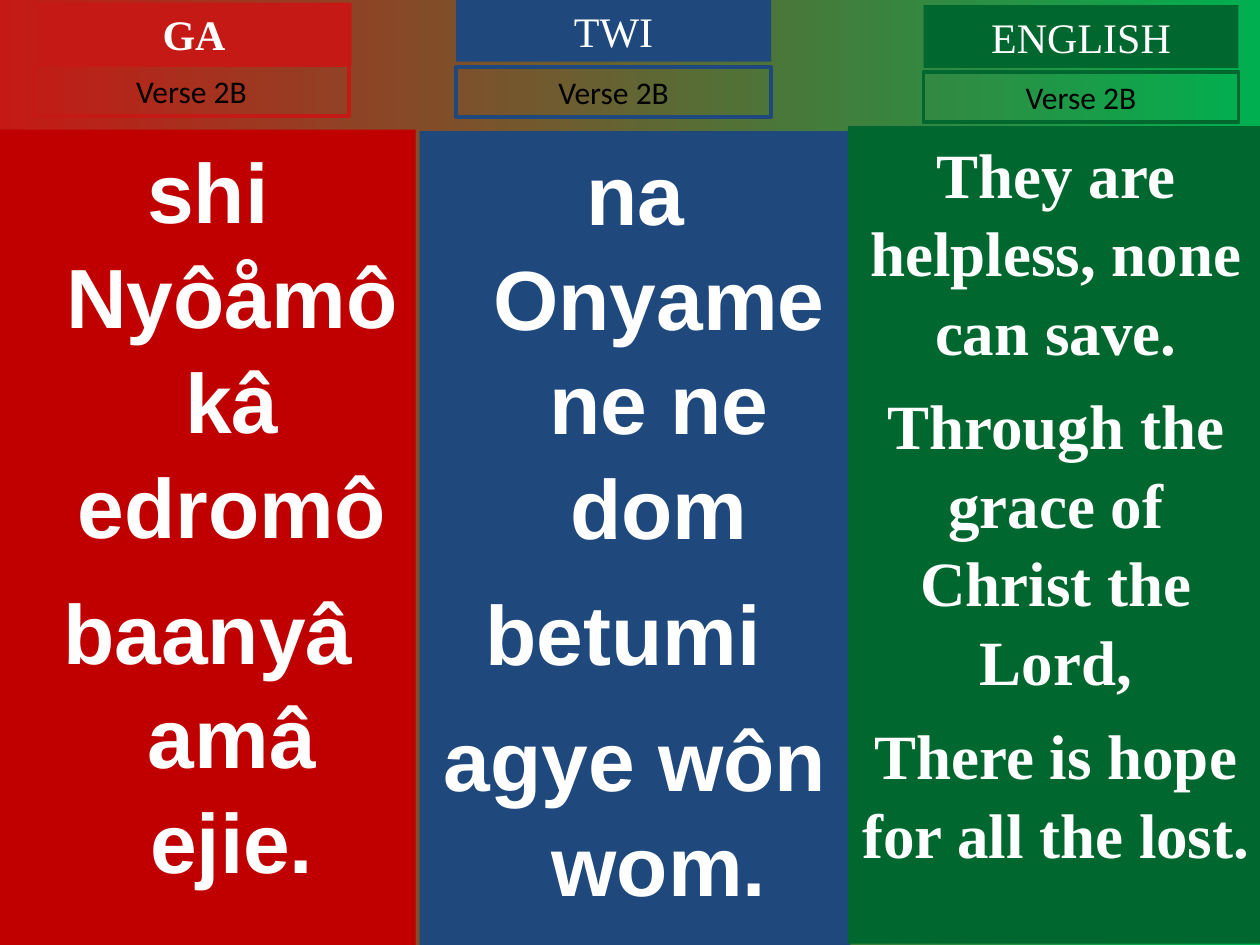
from dataclasses import dataclass
from typing import NamedTuple

from pptx import Presentation
from pptx.dml.color import RGBColor as RGB
from pptx.enum.shapes import MSO_SHAPE as Shape
from pptx.enum.text import MSO_ANCHOR as Anchor, MSO_AUTO_SIZE as AutoSize, PP_ALIGN as Align
from pptx.util import Inches, Pt

WIDTH, HEIGHT = 10, 7.5
TAG_WIDTH, HEAD_HEIGHT, VERSE_HEIGHT = 2.5, 0.5, 0.4


@dataclass(frozen=True)
class Theme:
    ga: str = "C51915"
    ga_panel: str = "C00000"
    twi: str = "1F497D"
    english: str = "00682F"
    bg_end: str = "00B050"
    light: str = "FFFFFF"
    dark: str = "000000"
    sans: str = "Arial"
    serif: str = "Times New Roman"
    label: str = "Calibri"
    head_size: int = 24
    verse_size: int = 18
    large: int = 48
    medium: int = 36
    border: float = 2.25
    leading: float = 1.04


T = Theme()


class Box(NamedTuple):
    left: float
    top: float
    width: float
    height: float


class Style(NamedTuple):
    font: str
    size: int
    color: str
    bold: bool = False
    before: int = 0
    hang: float = 0
    leading: float = 1


@dataclass(frozen=True)
class Language:
    name: str
    color: str
    panel_color: str
    panel: Box
    head: tuple[float, float]
    verse: tuple[float, float]
    style: Style
    lines: tuple[str, ...]
    bold_head: bool = False


LARGE = Style(T.sans, T.large, T.light, True, 12, 0.38, T.leading)
MEDIUM = Style(T.serif, T.medium, T.light, True, 9, 0, T.leading)
LANGUAGES = (
    Language("GA", T.ga, T.ga_panel, Box(0, 1.03, 3.3, HEIGHT - 1.03), (0.29, 0.02), (0.27, 0.52),
             LARGE, ("shi Nyôåmô kâ edromô", "baanyâ amâ ejie."), True),
    Language("TWI", T.twi, T.twi, Box(3.33, 1.04, 3.42, HEIGHT - 1.04), (3.62, -0.01), (3.62, 0.53),
             LARGE, ("na Onyame ne ne dom", "betumi ", "agye wôn wom.")),
    Language("ENGLISH", T.english, T.english, Box(6.73, 1, 3.3, 6.49), (7.33, 0.04), (7.33, 0.57),
             MEDIUM, ("They are helpless, none can save.",
                      "Through the grace of Christ the Lord,",
                      "There is hope for all the lost.")),
)


def set_all(target, values: dict) -> None:
    for name, value in values.items():
        setattr(target, name, value)


def write(sp, lines: tuple[str, ...], style: Style, anchor=Anchor.TOP) -> None:
    tf = sp.text_frame
    set_all(tf, {"word_wrap": True, "auto_size": AutoSize.NONE, "vertical_anchor": anchor,
                 "margin_left": Inches(0.1), "margin_right": Inches(0.1),
                 "margin_top": Inches(0.05), "margin_bottom": Inches(0.05)})
    for i, line in enumerate(lines):
        p = tf.add_paragraph() if i else tf.paragraphs[0]
        set_all(p, {"alignment": Align.CENTER, "line_spacing": style.leading,
                    "space_before": Pt(style.before if i else 0)})
        if style.hang:
            pPr = p._p.get_or_add_pPr()
            pPr.set("marL", str(Inches(style.hang)))
            pPr.set("indent", str(-Inches(style.hang)))
        r = p.add_run()
        r.text = line
        set_all(r.font, {"name": style.font, "size": Pt(style.size), "bold": style.bold})
        r.font.color.rgb = RGB.from_string(style.color)


def place(sp, box: Box) -> None:
    set_all(sp, {name: Inches(value) for name, value in box._asdict().items()})


def paint(sp, fill: str | None = None, line: str | None = None) -> None:
    if fill:
        sp.fill.solid()
        sp.fill.fore_color.rgb = RGB.from_string(fill)
    else:
        sp.fill.background()
    if line:
        sp.line.color.rgb = RGB.from_string(line)
        sp.line.width = Pt(T.border)
    else:
        sp.line.fill.background()


def add_box(s, box: Box, fill: str | None = None, line: str | None = None):
    sp = s.shapes.add_shape(Shape.RECTANGLE, *map(Inches, box))
    sp.shadow.inherit = False
    paint(sp, fill, line)
    return sp


def add_language(s, lang: Language, title=None) -> None:
    write(add_box(s, lang.panel, lang.panel_color), lang.lines, lang.style)
    box = Box(*lang.head, TAG_WIDTH, HEAD_HEIGHT)
    if title is None:
        head = add_box(s, box, lang.color)
    else:
        head = title
        place(head, box)
        paint(head, lang.color)
    write(head, (lang.name,), Style(T.serif, T.head_size, T.light, lang.bold_head), Anchor.MIDDLE)
    verse = add_box(s, Box(*lang.verse, TAG_WIDTH, VERSE_HEIGHT), line=lang.color)
    write(verse, ("Verse 2B",), Style(T.label, T.verse_size, T.dark), Anchor.MIDDLE)


def add_background(s) -> None:
    fill = s.background.fill
    fill.gradient()
    fill.gradient_angle = 0
    for stop, color in zip(fill.gradient_stops, (T.ga, T.bg_end)):
        stop.color.rgb = RGB.from_string(color)


def main() -> None:
    prs = Presentation()
    set_all(prs, {"slide_width": Inches(WIDTH), "slide_height": Inches(HEIGHT)})
    s = prs.slides.add_slide(prs.slide_layouts.get_by_name("Title Only"))
    add_background(s)
    for i, lang in enumerate(LANGUAGES):
        add_language(s, lang, None if i else s.shapes.title)
    prs.save("out.pptx")


if __name__ == "__main__":
    main()
